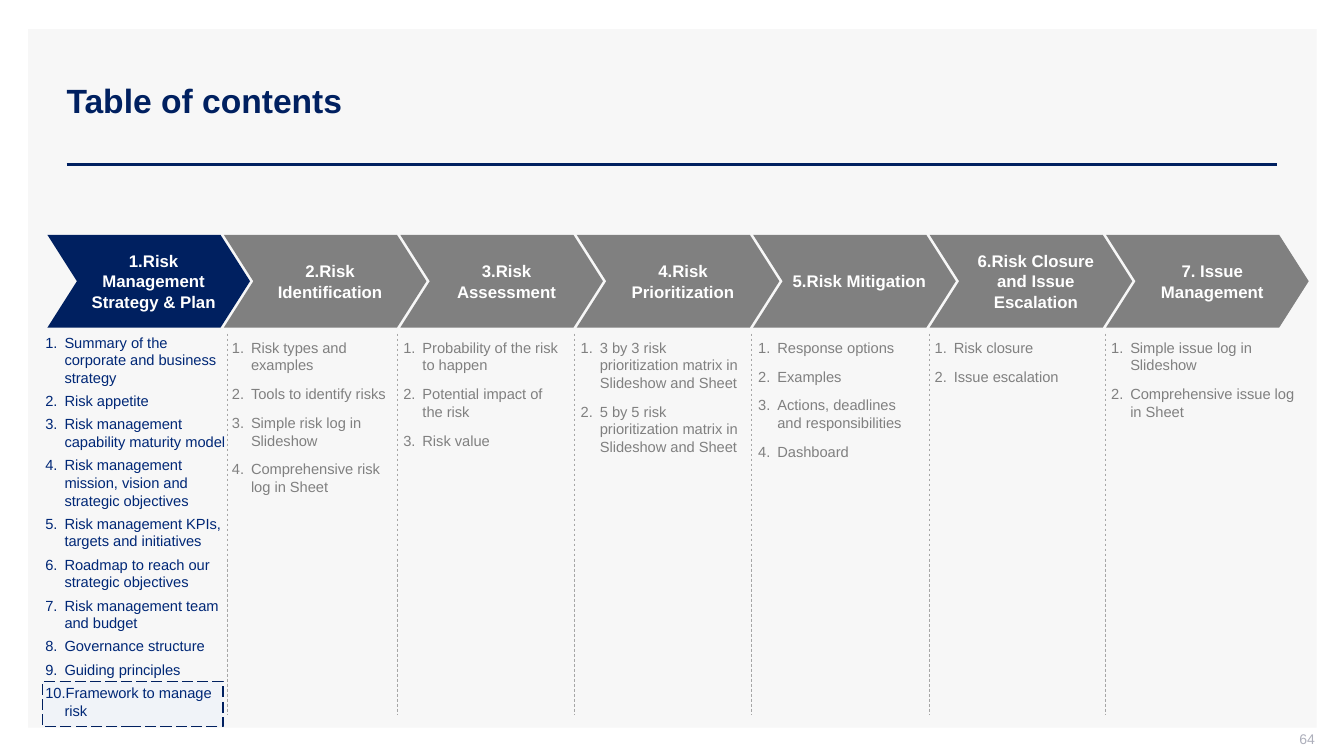
from dataclasses import dataclass

import lxml.etree
import pptx
import pptx.dml.color
import pptx.enum.dml
import pptx.enum.shapes
import pptx.enum.text
import pptx.oxml.ns
import pptx.util

Inches = pptx.util.Inches
Pt = pptx.util.Pt
ALIGN = pptx.enum.text.PP_ALIGN
ANCHOR = pptx.enum.text.MSO_ANCHOR
DASH = pptx.enum.dml.MSO_LINE
PRESET = pptx.enum.shapes.MSO_SHAPE
qn = pptx.oxml.ns.qn

FONT = "Arial"
COLOURS = {
    "panel": "F7F7F7",
    "navy": "002060",
    "current_text": "002776",
    "grey": "808080",
    "divider": "A6A6A6",
    "highlight": "D6E3FF",
    "page_number": "ADAFBB",
    "white": "FFFFFF",
}
CHEVRON_LEFT, CHEVRON_PITCH = 0.47, 1.75
LIST_INDENT = 0.19


@dataclass
class Chapter:
    heading: str
    items: list[str]
    left: float
    width: float
    height: float
    divider: float | None = None
    top: float = 3.31
    spacing: float = 4
    fill: str = "grey"
    colour: str = "grey"


CHAPTERS = [
    Chapter("1.Risk Management Strategy & Plan", [
        "Summary of the corporate and business strategy",
        "Risk appetite",
        "Risk management capability maturity model",
        "Risk management mission, vision and strategic objectives",
        "Risk management KPIs, targets and initiatives",
        "Roadmap to reach our strategic objectives",
        "Risk management team and budget",
        "Governance structure",
        "Guiding principles",
        "Framework to manage risk",
    ], 0.45, 1.9, 3.96, top=3.26, spacing=2, fill="navy", colour="current_text"),
    Chapter("2.Risk Identification", [
        "Risk types and examples",
        "Tools to identify risks",
        "Simple risk log in Slideshow",
        "Comprehensive risk log in Sheet",
    ], 2.3, 1.7, 1.96, 2.25),
    Chapter("3.Risk Assessment", [
        "Probability of the risk to happen",
        "Potential impact of the risk",
        "Risk value",
    ], 4, 1.71, 1.5, 3.94),
    Chapter("4.Risk Prioritization", [
        "3 by 3 risk prioritization matrix in Slideshow and Sheet",
        "5 by 5 risk prioritization matrix in Slideshow and Sheet",
    ], 5.76, 1.76, 1.27, 5.7),
    Chapter("5.Risk Mitigation", [
        "Response options",
        "Examples",
        "Actions, deadlines and responsibilities",
        "Dashboard",
    ], 7.52, 1.68, 1.32, 7.45),
    Chapter("6.Risk Closure and Issue Escalation", [
        "Risk closure",
        "Issue escalation",
    ], 9.27, 1.92, 0.57, 9.22),
    Chapter("7. Issue Management", [
        "Simple issue log in Slideshow",
        "Comprehensive issue log in Sheet",
    ], 11.02, 1.92, 1.21, 10.96),
]


def colour_of(name: str) -> pptx.dml.color.RGBColor:
    return pptx.dml.color.RGBColor.from_string(COLOURS[name])


def number_paragraph(paragraph) -> None:
    """Give the paragraph a hanging indent and an automatic number."""
    properties = paragraph._p.get_or_add_pPr()
    properties.set("marL", str(Inches(LIST_INDENT)))
    properties.set("indent", str(-Inches(LIST_INDENT)))
    lxml.etree.SubElement(properties, qn("a:buFont"), typeface=FONT)
    lxml.etree.SubElement(properties, qn("a:buAutoNum"), type="arabicPeriod")


def write_text(shape, lines: list[str], *, size: float, colour: str,
               bold: bool = False, align=ALIGN.LEFT, anchor=ANCHOR.TOP,
               insets: tuple = (0.1, 0.05, 0.1, 0.05), spacing: float = 0,
               numbered: bool = False) -> None:
    frame = shape.text_frame
    frame.word_wrap = True
    frame.vertical_anchor = anchor
    (frame.margin_left, frame.margin_top,
     frame.margin_right, frame.margin_bottom) = map(Inches, insets)
    for index, line in enumerate(lines):
        paragraph = frame.add_paragraph() if index else frame.paragraphs[0]
        if numbered:
            number_paragraph(paragraph)
        paragraph.alignment = align
        paragraph.space_before = Pt(spacing if index else 0)
        paragraph.space_after = Pt(spacing)
        run = paragraph.add_run()
        run.text = line
        run.font.name = FONT
        run.font.size = Pt(size)
        run.font.bold = bold
        run.font.color.rgb = colour_of(colour)


def add_filled_shape(slide, preset, left: float, top: float, width: float,
                     height: float, fill: str):
    shape = slide.shapes.add_shape(
        preset, Inches(left), Inches(top), Inches(width), Inches(height))
    shape.shadow.inherit = False
    shape.fill.solid()
    shape.fill.fore_color.rgb = colour_of(fill)
    shape.line.fill.background()
    return shape


def add_line(slide, start: tuple, end: tuple, colour: str, width: float,
             dash=None) -> None:
    line = slide.shapes.add_connector(
        pptx.enum.shapes.MSO_CONNECTOR.STRAIGHT, *map(Inches, start + end))
    line.line.color.rgb = colour_of(colour)
    line.line.width = Pt(width)
    if dash:
        line.line.dash_style = dash
    lxml.etree.SubElement(line.element.spPr, qn("a:effectLst"))


def add_highlight(slide) -> None:
    """Frame the current list item with a translucent dashed box."""
    box = add_filled_shape(slide, PRESET.RECTANGLE, 0.42, 6.76, 1.79, 0.45,
                           "highlight")
    fill_colour = box.element.spPr.find(".//" + qn("a:srgbClr"))
    lxml.etree.SubElement(fill_colour, qn("a:alpha"), val="20000")
    box.line.color.rgb = colour_of("navy")
    box.line.width = Pt(1)
    box.line.dash_style = DASH.LONG_DASH


def add_chapter(slide, index: int, chapter: Chapter) -> None:
    chevron = add_filled_shape(
        slide, PRESET.CHEVRON, CHEVRON_LEFT + index * CHEVRON_PITCH, 2.33,
        2.01, 0.92, chapter.fill)
    chevron.adjustments[0] = 0.318
    write_text(chevron, [chapter.heading], size=12, colour="white", bold=True,
               align=ALIGN.CENTER, anchor=ANCHOR.MIDDLE,
               insets=(0.1, 0.05, 0, 0.05))
    if chapter.divider is not None:
        add_line(slide, (chapter.divider, 3.31), (chapter.divider, 7.09),
                 "divider", 0.5, DASH.DASH)
    contents = slide.shapes.add_textbox(
        Inches(chapter.left), Inches(chapter.top),
        Inches(chapter.width), Inches(chapter.height))
    write_text(contents, chapter.items, size=10.5, colour=chapter.colour,
               insets=(0, 0.05, 0.1, 0.05), spacing=chapter.spacing,
               numbered=True)


def main() -> None:
    presentation = pptx.Presentation()
    presentation.slide_width = Inches(13.33)
    presentation.slide_height = Inches(7.5)
    slide = presentation.slides.add_slide(presentation.slide_layouts[5])

    title = slide.shapes.title
    title.left, title.top = Inches(0.56), Inches(0.4)
    title.width, title.height = Inches(12.11), Inches(1.19)
    write_text(title, ["Table of contents"], size=24, colour="navy", bold=True,
               anchor=ANCHOR.MIDDLE)

    panel = add_filled_shape(slide, PRESET.RECTANGLE, 0.28, 0.29, 12.78, 6.93,
                             "panel")
    title.element.addprevious(panel.element)
    add_line(slide, (0.66, 1.63), (12.67, 1.63), "navy", 2)
    add_highlight(slide)

    page_number = slide.shapes.add_textbox(
        Inches(10.04), Inches(7.25), Inches(3), Inches(0.21))
    write_text(page_number, ["64"], size=10, colour="page_number",
               align=ALIGN.RIGHT, anchor=ANCHOR.MIDDLE,
               insets=(0.1, 0, 0, 0.05))

    for index, chapter in enumerate(CHAPTERS):
        add_chapter(slide, index, chapter)
    presentation.save("out.pptx")


if __name__ == "__main__":
    main()
